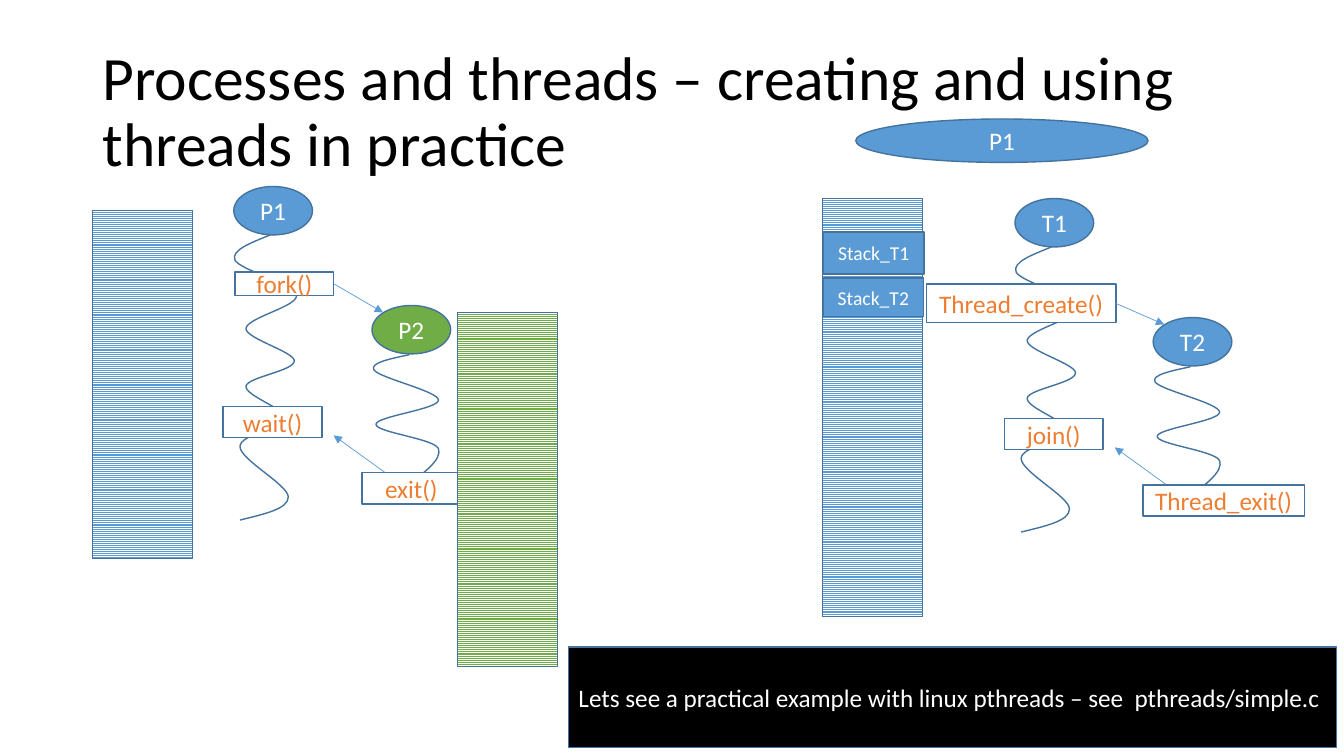
from dataclasses import dataclass
from itertools import chain
from lxml.etree import SubElement as Sub
from pptx import Presentation
from pptx.dml.color import RGBColor as Rgb
from pptx.enum.dml import MSO_PATTERN as Pat
from pptx.enum.shapes import MSO_CONNECTOR as Link, MSO_SHAPE as Kind
from pptx.enum.text import MSO_ANCHOR as Anchor, PP_ALIGN as Align
from pptx.oxml.ns import qn
from pptx.util import Pt


@dataclass(frozen=True)
class Theme:
    """Colours, font and type sizes."""
    font: str = "Calibri"
    title: int = 44
    body: int = 18
    small: int = 14
    black: str = "000000"
    white: str = "FFFFFF"
    blue: str = "5B9BD5"
    green: str = "70AD47"
    edge: str = "43739E"
    code: str = "ED7D31"


MAIN = [(193, 167.8),
        (179.3, 173.5), (164.9, 178.6), (167.8, 185.8),
        (171.4, 193), (210.2, 203), (211.7, 211),
        (213.1, 218.9), (176.4, 226.8), (175.7, 234.7),
        (175.7, 241.9), (210.2, 251.3), (210.2, 257.8),
        (210.2, 265), (177.1, 269.3), (175.7, 275.8),
        (175, 283), (205.2, 292.3), (204.5, 299.5),
        (203.8, 306.7), (171.4, 309.6), (171.4, 319),
        (171.4, 328.3), (205.9, 346.3), (205.9, 355),
        (205.9, 363.6), (188.6, 367.2), (171.4, 371.5)]
CHILD = [(292.3, 253.4),
         (278.6, 256.3), (264.2, 259.2), (267.1, 264.2),
         (270.7, 270), (313.2, 279.4), (313.2, 285.8),
         (313.2, 292.3), (268.6, 297.4), (268.6, 303.1),
         (268.6, 308.9), (309.6, 313.2), (313.2, 320.4),
         (316.1, 328.3), (302.4, 338.4), (288, 348.5)]


def write(frame, text, font, size, color, align=Align.CENTER, space=None):
    """Fill a text frame with one formatted paragraph."""
    frame.word_wrap = True
    frame.vertical_anchor = Anchor.MIDDLE
    para = frame.paragraphs[0]
    para.alignment = align
    if space:
        para.line_spacing = space
    run = para.add_run()
    run.text = text
    run.font.name, run.font.size = font, Pt(size)
    run.font.color.rgb = Rgb.from_string(color)


class Deck:
    """Draw styled elements on the current slide."""

    def __init__(self, theme):
        """Open a wide deck with one blank slide."""
        self.look = theme
        self.deck = Presentation()
        self.deck.slide_width, self.deck.slide_height = Pt(960), Pt(540)
        self.slide = self.deck.slides.add_slide(self.deck.slide_layouts[6])
        self.shapes = self.slide.shapes

    def title(self, text, *box):
        """Add the slide title."""
        frame = self.shapes.add_textbox(*map(Pt, box)).text_frame
        write(frame, text, self.look.font, self.look.title, self.look.black,
              align=Align.LEFT, space=0.9)

    def edge(self, shape):
        """Give a shape the common outline and no shadow."""
        shape.shadow.inherit = False
        shape.line.color.rgb = Rgb.from_string(self.look.edge)
        shape.line.width = Pt(1)

    def shape(self, text, *box, kind=Kind.RECTANGLE, fill=None, color=None,
              size=None, align=Align.CENTER):
        """Add a filled shape with a caption."""
        item = self.shapes.add_shape(kind, *map(Pt, box))
        self.edge(item)
        item.fill.solid()
        item.fill.fore_color.rgb = Rgb.from_string(fill or self.look.blue)
        write(item.text_frame, text, self.look.font, size or self.look.body,
              color or self.look.white, align=align)

    def node(self, text, *box, fill=None):
        """Add a process or thread ellipse."""
        self.shape(text, *box, kind=Kind.OVAL, fill=fill)

    def call(self, text, *box):
        """Add a function call label."""
        self.shape(text, *box, fill=self.look.white, color=self.look.code)

    def memory(self, color, *box):
        """Add a striped memory bar."""
        bar = self.shapes.add_shape(Kind.RECTANGLE, *map(Pt, box))
        self.edge(bar)
        bar.fill.patterned()
        bar.fill.pattern = Pat.LIGHT_HORIZONTAL
        bar.fill.fore_color.rgb = Rgb.from_string(color)
        bar.fill.back_color.rgb = Rgb.from_string(self.look.white)

    def arrow(self, *ends):
        """Add a thin line with an arrowhead at its end."""
        line = self.shapes.add_connector(Link.STRAIGHT, *map(Pt, ends))
        line.line.color.rgb = Rgb.from_string(self.look.blue)
        line.line.width = Pt(0.5)
        Sub(line.line._get_or_add_ln(), qn("a:tailEnd"), type="triangle")
        Sub(line._element.spPr, qn("a:effectLst"))

    def curve(self, points, dx, dy):
        """Add an open path of cubic curves."""
        spots = [(Pt(x + dx), Pt(y + dy)) for x, y in points]
        pen = self.shapes.build_freeform(*spots[0])
        pen.add_line_segments(spots[3::3], close=False)
        item = pen.convert_to_shape()
        self.edge(item)
        item.fill.background()
        steps = list(item._element.iter(qn("a:lnTo")))
        for step, *trio in zip(steps, spots[1::3], spots[2::3], spots[3::3]):
            step.tag = qn("a:cubicBezTo")
            step.clear()
            for x, y in trio:
                Sub(step, qn("a:pt"), x=str(x - item.left), y=str(y - item.top))

    def flow(self, names, calls, start, end, fill=None, dx=0, dy=0):
        """Draw a parent that starts, awaits and joins a child."""
        x, y, wide, high = start
        x, y = x + dx, y + dy
        self.node(names[0], 167 + dx, 133.2 + dy, 56.2, 34.6)
        self.curve(MAIN, dx, dy)
        self.call(calls[0], x, y, wide, high)
        self.node(names[1], 265.7 + dx, 218.2 + dy, 56.2, 34.6, fill=fill)
        self.arrow(x + wide, y + high / 2, 273.6 + dx, 223.2 + dy)
        self.curve(CHILD, dx, dy)
        self.call(calls[1], 159.4 + dx, 290.2 + dy, 70.6, 22.3)
        self.arrow(290.2 + dx, 348.5 + dy, 238.3 + dx, 311 + dy)
        self.call(calls[2], 258.5 + dx, 337.7 + dy, end, 22.3)


def main():
    """Build and save the slide."""
    look = Theme()
    deck = Deck(look)
    deck.title("Processes and threads – creating and using threads in practice",
               66.2, 28.8, 828, 104.4)
    deck.flow(("P1", "P2"), ("fork()", "wait()", "exit()"),
              (167.8, 194.4, 70.6, 16.6), 70.6, fill=look.green)
    deck.memory(look.blue, 66.2, 150.5, 71.3, 248.4)
    deck.memory(look.green, 326.9, 223.2, 71.3, 252.7)
    deck.node("P1", 611.3, 85, 208.8, 31)
    deck.flow(("T1", "T2"), ("Thread_create()", "join()", "Thread_exit()"),
              (103.7, 194.4, 135.4, 27.4), 115.2, dx=558, dy=8.6)
    deck.memory(look.blue, 587.5, 141.8, 71.3, 298.8)
    deck.shape("Stack_T1", 588.2, 165.6, 72, 30.2, size=look.small)
    deck.shape("Stack_T2", 588.2, 198.7, 71.3, 27.4, size=look.small)
    deck.shape("Lets see a practical example with linux pthreads – see  pthreads/simple.c",
               406.1, 462.2, 548.6, 72, fill=look.black, align=Align.LEFT)
    deck.deck.save("out.pptx")


if __name__ == "__main__":
    main()
